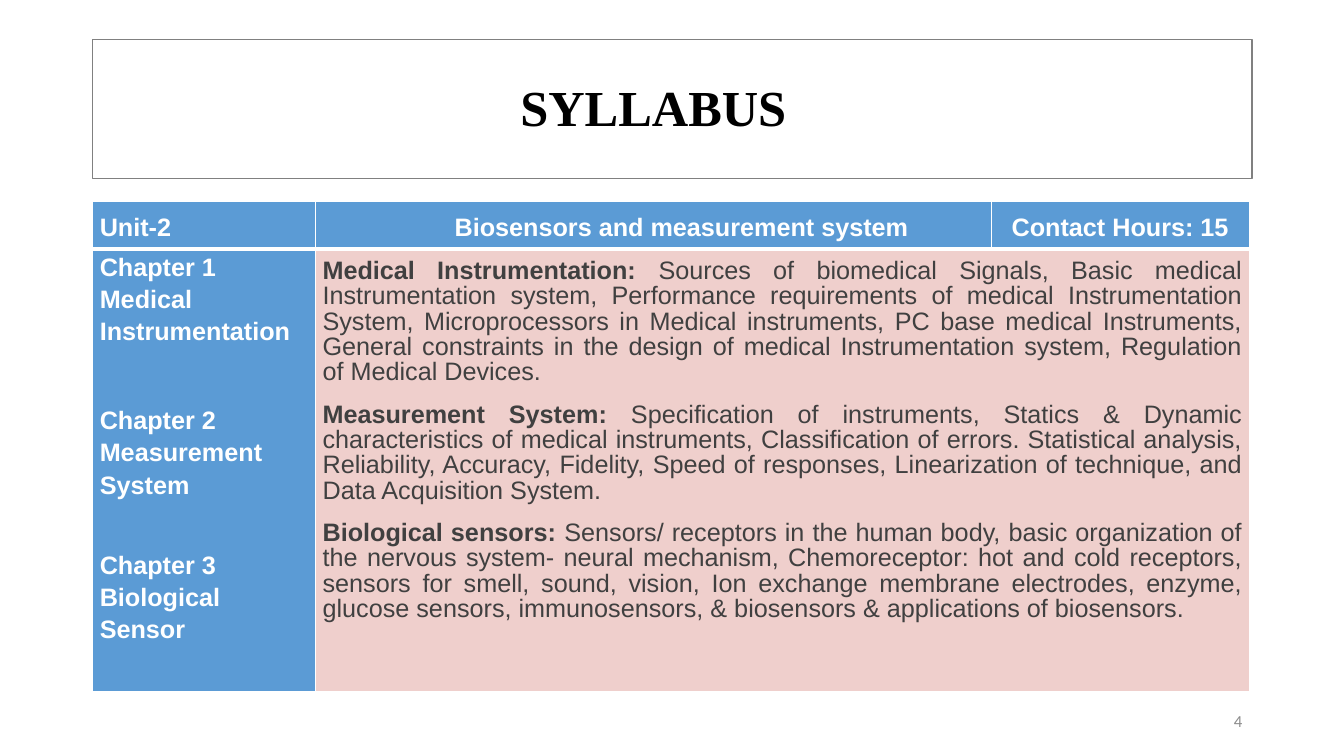
from lxml import etree
from pptx import Presentation
from pptx.dml.color import RGBColor
from pptx.enum import shapes, text
from pptx.oxml import ns
from pptx.util import Inches, Pt

WHITE = RGBColor(0xFF, 0xFF, 0xFF)
BLACK = RGBColor(0, 0, 0)
BLUE = RGBColor(0x5B, 0x9B, 0xD5)
PINK = RGBColor(0xEF, 0xCF, 0xCC)
DARK = RGBColor(0x40, 0x40, 0x40)
FRAME_GRAY = RGBColor(0x80, 0x80, 0x80)
NUMBER_GRAY = RGBColor(0x8C, 0x8C, 0x8C)

LEFT, CENTER, RIGHT, JUSTIFY = (
    text.PP_ALIGN.LEFT, text.PP_ALIGN.CENTER, text.PP_ALIGN.RIGHT, text.PP_ALIGN.JUSTIFY)
MIDDLE = text.MSO_ANCHOR.MIDDLE


def add_run(paragraph, words, size, color, bold=True, font="Arial"):
    run = paragraph.add_run()
    run.text = words
    run.font.name = font
    run.font.size = Pt(size)
    run.font.bold = bold
    run.font.color.rgb = color


def style_cell(cell, fill, top_width, bottom_width):
    cell.margin_left = cell.margin_right = Inches(0.07)
    cell.margin_top = cell.margin_bottom = 0
    properties = cell._tc.get_or_add_tcPr()
    for side, width in (("L", 1), ("R", 1), ("T", top_width), ("B", bottom_width)):
        border = etree.SubElement(properties, ns.qn(f"a:ln{side}"), w=str(Pt(width)))
        solid = etree.SubElement(border, ns.qn("a:solidFill"))
        etree.SubElement(solid, ns.qn("a:srgbClr"), val=str(WHITE))
    cell.fill.solid()
    cell.fill.fore_color.rgb = fill


prs = Presentation()
prs.slide_width, prs.slide_height = Inches(13.33), Inches(7.5)
slide = prs.slides.add_slide(prs.slide_layouts[5])

heading = slide.shapes.title
heading.left, heading.top = Inches(0.92), Inches(0.39)
heading.width, heading.height = Inches(11.5), Inches(1.4)
heading.text_frame.vertical_anchor = MIDDLE
heading.text_frame.margin_right = Inches(0.48)
syllabus = heading.text_frame.paragraphs[0]
syllabus.alignment = CENTER
syllabus.line_spacing = 0.9
add_run(syllabus, "SYLLABUS", 36, BLACK, font="Times New Roman")

page = slide.shapes.add_textbox(Inches(9.42), Inches(6.95), Inches(3), Inches(0.4))
page.text_frame.word_wrap = True
page.text_frame.vertical_anchor = MIDDLE
page_number = page.text_frame.paragraphs[0]
page_number.alignment = RIGHT
add_run(page_number, "4", 12, NUMBER_GRAY, bold=False, font="Calibri")

frame = slide.shapes.add_shape(
    shapes.MSO_SHAPE.RECTANGLE, Inches(0.92), Inches(0.39), Inches(11.5), Inches(1.38))
frame.shadow.inherit = False
frame.fill.background()
frame.line.color.rgb = FRAME_GRAY
frame.line.width = Pt(1)

unit = slide.shapes.add_table(
    2, 3, Inches(0.92), Inches(2), Inches(11.47), Inches(4.86)).table
for column, width in zip(unit.columns, (2.21, 6.7, 2.56)):
    column.width = Inches(width)
for row, height in zip(unit.rows, (0.47, 4.39)):
    row.height = Inches(height)

headers = (
    ("Unit-2", LEFT),
    ("Biosensors and measurement system", CENTER),
    ("Contact Hours: 15", CENTER),
)
for index, (words, alignment) in enumerate(headers):
    header = unit.cell(0, index)
    style_cell(header, BLUE, 1, 3)
    header.vertical_anchor = MIDDLE
    label = header.text_frame.paragraphs[0]
    label.alignment = alignment
    label.line_spacing = 1.15
    label.space_after = Pt(10)
    add_run(label, words, 18, WHITE)
    style_cell(unit.cell(1, index), PINK if index else BLUE, 3, 1)
unit.cell(0, 1).margin_left = Inches(0.63)

chapters = unit.cell(1, 0).text_frame
topics = unit.cell(1, 1)
topics.merge(unit.cell(1, 2))
topics.margin_top = Inches(0.1)

syllabus_parts = (
    ("Medical Instrumentation", 0, "Medical Instrumentation: ",
     "Sources of biomedical Signals, Basic medical Instrumentation system, "
     "Performance requirements of medical Instrumentation System, Microprocessors "
     "in Medical instruments, PC base medical Instruments, General constraints in "
     "the design of medical Instrumentation system, Regulation of Medical Devices."),
    ("Measurement System", 40, "Measurement System: ",
     "Specification of instruments, Statics & Dynamic characteristics of medical "
     "instruments, Classification of errors. Statistical analysis, Reliability, "
     "Accuracy, Fidelity, Speed of responses, Linearization of technique, and Data "
     "Acquisition System."),
    ("Biological Sensor", 34, "Biological sensors: ",
     "Sensors/ receptors in the human body, basic organization of the nervous "
     "system- neural mechanism, Chemoreceptor: hot and cold receptors, sensors for "
     "smell, sound, vision, Ion exchange membrane electrodes, enzyme, glucose "
     "sensors, immunosensors, & biosensors & applications of biosensors."),
)
for number, (name, gap, lead, details) in enumerate(syllabus_parts, 1):
    chapter = chapters.paragraphs[0] if number == 1 else chapters.add_paragraph()
    chapter.space_before = Pt(gap)
    add_run(chapter, f"Chapter {number}", 18, WHITE)
    chapter_name = chapters.add_paragraph()
    add_run(chapter_name, name, 18, WHITE)
    for line in (chapter, chapter_name):
        line.alignment = JUSTIFY
        line.line_spacing = 1.15

    topic = topics.text_frame.paragraphs[0] if number == 1 else topics.text_frame.add_paragraph()
    topic.alignment = JUSTIFY
    topic.line_spacing = 0.9
    topic.space_before = Pt(0 if number == 1 else 6)
    topic.space_after = Pt(6)
    add_run(topic, lead, 18, DARK)
    add_run(topic, details, 18, DARK, bold=False)

prs.save("out.pptx")
